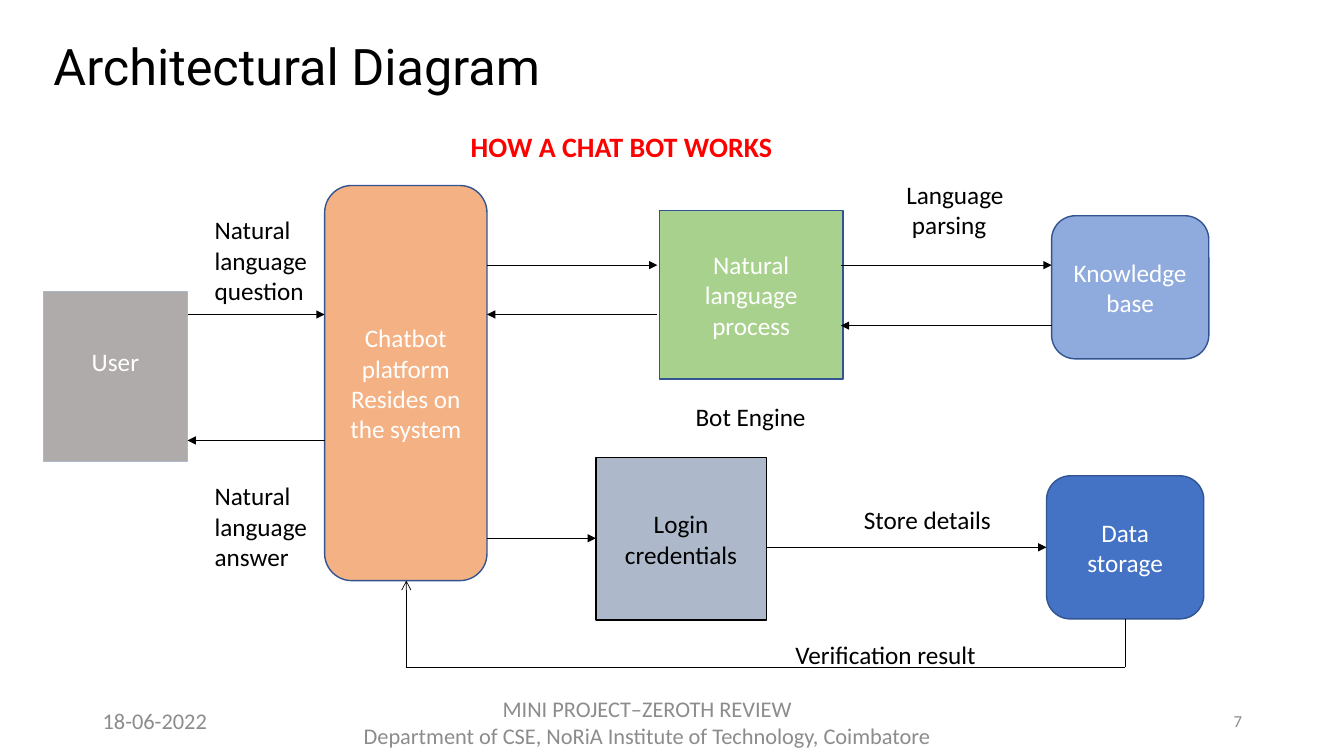
import pptx
import pptx.util
import pptx.dml.color
import pptx.enum.shapes
import pptx.enum.text
import pptx.oxml
import pptx.oxml.ns

Inches = pptx.util.Inches
Pt = pptx.util.Pt
Align = pptx.enum.text.PP_ALIGN
Anchor = pptx.enum.text.MSO_ANCHOR
Preset = pptx.enum.shapes.MSO_SHAPE

BLACK, WHITE, GREY, RED = "000000", "FFFFFF", "8C8C8C", "FF0000"
BLUE_EDGE = "325491"


def color(value):
    """Turn a hex string into a colour."""
    return pptx.dml.color.RGBColor.from_string(value)


class DiagramSlide:
    """Holds the style and the slide being drawn."""

    body_font = "Calibri"
    title_font = "Roboto"
    text_size = 18
    arrow_width = 0.5

    def __init__(self, presentation):
        """Add a title-only slide."""
        self.slide = presentation.slides.add_slide(presentation.slide_layouts[5])

    def add_lines(self, frame, lines, text_color, size=None, align=Align.LEFT,
                  bold=False, font=None):
        """Add one paragraph per line and return the paragraphs."""
        frame.word_wrap = True
        for index, line in enumerate(lines):
            paragraph = frame.paragraphs[0] if index == 0 else frame.add_paragraph()
            paragraph.alignment = align
            run = paragraph.add_run()
            run.text = line
            run.font.name = font or self.body_font
            run.font.size = Pt(size or self.text_size)
            run.font.bold = bold
            run.font.color.rgb = color(text_color)
        return frame.paragraphs

    def title(self, text, left, top, width, height):
        """Place and format the title placeholder."""
        shape = self.slide.shapes.title
        shape.left, shape.top = Inches(left), Inches(top)
        shape.width, shape.height = Inches(width), Inches(height)
        frame = shape.text_frame
        frame.auto_size = pptx.enum.text.MSO_AUTO_SIZE.NONE
        frame.vertical_anchor = Anchor.MIDDLE
        paragraphs = self.add_lines(frame, [text], BLACK, 36, font=self.title_font)
        paragraphs[0].line_spacing = 0.9

    def label(self, lines, left, top, width, height, text_color=BLACK,
              anchor=Anchor.TOP, **style):
        """Add free-standing text."""
        shape = self.slide.shapes.add_textbox(
            Inches(left), Inches(top), Inches(width), Inches(height))
        frame = shape.text_frame
        frame.margin_right = 0
        frame.vertical_anchor = anchor
        self.add_lines(frame, lines, text_color, **style)

    def box(self, lines, preset, left, top, width, height, fill,
            edge=BLUE_EDGE, text_color=WHITE):
        """Add a filled component box with centred text."""
        shape = self.slide.shapes.add_shape(
            preset, Inches(left), Inches(top), Inches(width), Inches(height))
        shape.shadow.inherit = False
        shape.fill.solid()
        shape.fill.fore_color.rgb = color(fill)
        shape.line.color.rgb = color(edge)
        shape.line.width = Pt(1)
        shape.text_frame.vertical_anchor = Anchor.MIDDLE
        self.add_lines(shape.text_frame, lines, text_color, align=Align.CENTER)
        return shape

    def arrow(self, start, end, head="triangle"):
        """Add a straight line from start to end, with an optional arrowhead."""
        connector = self.slide.shapes.add_connector(
            pptx.enum.shapes.MSO_CONNECTOR.STRAIGHT,
            Inches(start[0]), Inches(start[1]), Inches(end[0]), Inches(end[1]))
        connector.line.color.rgb = color(BLACK)
        connector.line.width = Pt(self.arrow_width)
        properties = connector._element.spPr
        namespace = pptx.oxml.ns.nsdecls("a")
        if head:
            outline = properties.find(pptx.oxml.ns.qn("a:ln"))
            outline.append(pptx.oxml.parse_xml(f'<a:tailEnd {namespace} type="{head}"/>'))
        properties.append(pptx.oxml.parse_xml(f"<a:effectLst {namespace}/>"))


presentation = pptx.Presentation()
presentation.slide_width = Inches(13.33)
presentation.slide_height = Inches(7.5)
diagram = DiagramSlide(presentation)

diagram.title("Architectural Diagram", 0.43, 0.2, 11.5, 0.97)
diagram.label(["HOW A CHAT BOT WORKS"], 4.57, 1.24, 3.65, 0.44, RED, size=20, bold=True)

# Components
rounded, square = Preset.ROUNDED_RECTANGLE, Preset.RECTANGLE
diagram.box(["Knowledge", "base"], rounded, 10.43, 2.14, 1.56, 1.42, "8FAADC")
diagram.box(["Data storage"], rounded, 10.38, 4.72, 1.56, 1.42, "4472C4")
diagram.box(["Natural language", "process"], square, 6.54, 2.09, 1.82, 1.67, "A9D18E")
diagram.box(["Chatbot platform", "Resides on the system"], rounded,
            3.22, 1.84, 1.61, 3.92, "F4B183")
diagram.box(["Login", "credentials"], square, 5.91, 4.54, 1.69, 1.61, "ADB9CA",
            edge=BLACK, text_color=BLACK)
user = diagram.box(["User"], square, 0.43, 2.89, 1.43, 1.69, "AFABAB", edge="ADB9CA")
user.text_frame.margin_bottom = Inches(0.35)

# Horizontal flows: from x, to x, y
for start_x, end_x, y in [
    (1.86, 3.22, 3.12), (3.22, 1.86, 4.37),
    (4.83, 6.52, 2.63), (6.52, 4.83, 3.12),
    (8.34, 10.43, 2.63), (10.43, 8.34, 3.23),
    (4.83, 5.91, 5.34), (7.6, 10.38, 5.43),
]:
    diagram.arrow((start_x, y), (end_x, y))

# Verification result returns from the data storage to the platform
return_route = [(11.16, 6.14), (11.16, 6.62), (4.03, 6.62), (4.03, 5.76)]
for start, end, head in zip(return_route, return_route[1:], [None, None, "arrow"]):
    diagram.arrow(start, end, head)

# Flow labels
for lines, left, top, width, height in [
    (["Natural", "language", "question"], 2.03, 2.08, 1.19, 1.01),
    (["Natural", "language", "answer"], 2.03, 4.72, 1.19, 1.01),
    (["Language", " parsing"], 8.89, 1.73, 1.18, 0.71),
    (["Bot Engine"], 6.8, 3.93, 1.31, 0.4),
    (["Store details"], 8.47, 4.95, 1.48, 0.4),
    (["Verification result"], 7.79, 6.29, 2.01, 0.4),
]:
    diagram.label(lines, left, top, width, height)

# Footer
footer = {"text_color": GREY, "anchor": Anchor.MIDDLE}
diagram.label(["18-06-2022"], 0.92, 6.95, 3, 0.4, size=16, **footer)
diagram.label(["MINI PROJECT–ZEROTH REVIEW",
               "Department of CSE, NoRiA Institute of Technology, Coimbatore"],
              3.43, 6.82, 5.88, 0.68, size=16, align=Align.CENTER, **footer)
diagram.label(["7"], 9.42, 6.95, 2.9, 0.4, size=12, align=Align.RIGHT, **footer)

presentation.save("out.pptx")
